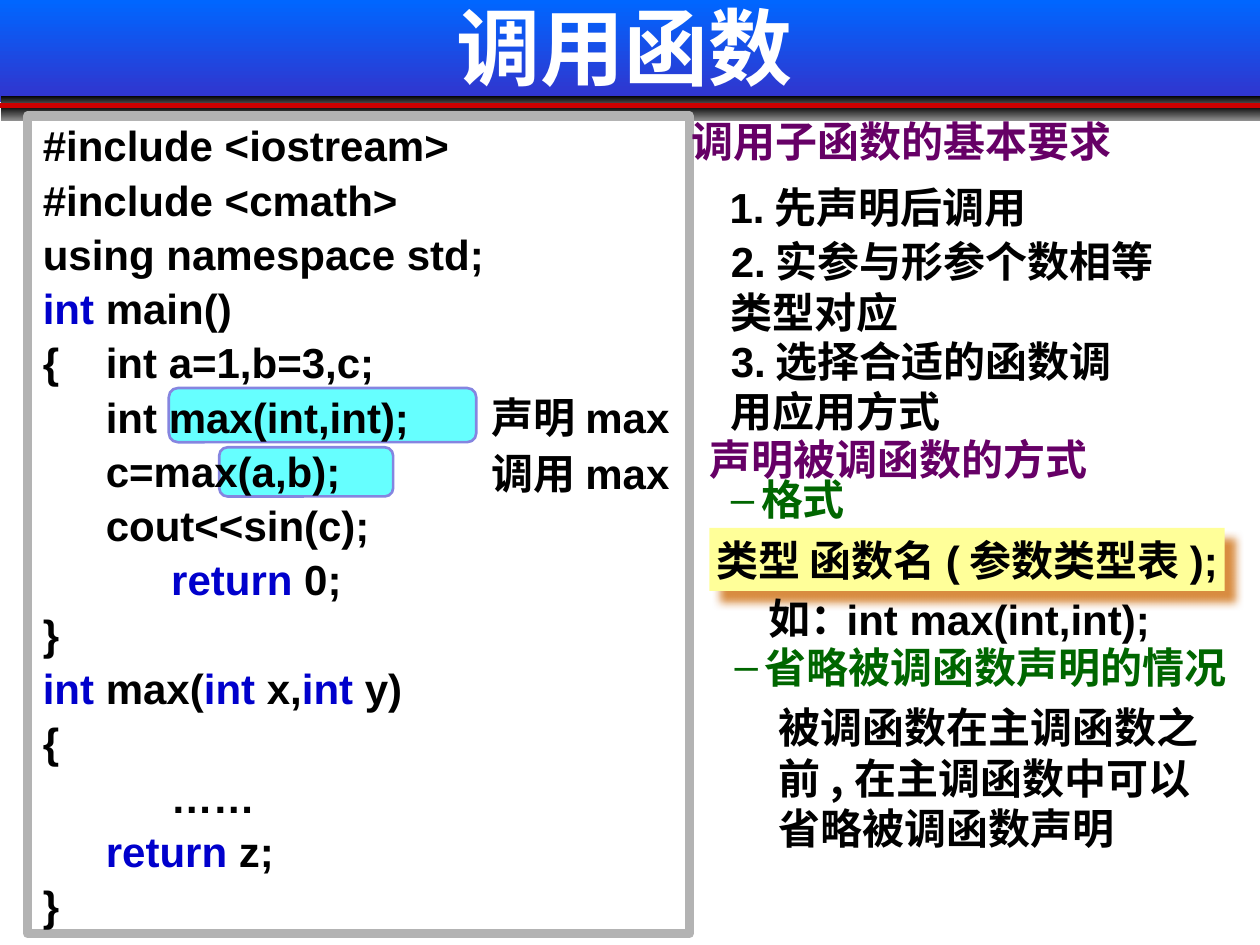
from dataclasses import dataclass
from typing import Any, Optional

from lxml.etree import SubElement
from pptx import Presentation
from pptx.dml.color import RGBColor as RGB
from pptx.enum.shapes import MSO_CONNECTOR as Connector, MSO_SHAPE as Preset
from pptx.enum.text import MSO_ANCHOR as Anchor, PP_ALIGN as Align
from pptx.oxml.ns import qn
from pptx.util import Inches, Pt

CELL = Inches(0.1)
COLUMNS, ROWS = 100, 75


@dataclass(frozen=True)
class Theme:
    latin: str = "Arial"
    han: str = "Noto Sans CJK SC"
    title_size: int = 48
    body_size: int = 24
    code_pitch: int = 31
    ink: str = "000000"
    white: str = "FFFFFF"
    keyword: str = "0000CC"
    heading: str = "660066"
    subheading: str = "006600"
    highlight: str = "66FFFF"
    highlight_edge: str = "8585E0"
    frame: str = "B3B3B3"
    rule: str = "CC0000"
    syntax: str = "FFFF99"
    syntax_shadow: str = "CC6600"
    banner_shadow: str = "808080"
    banner: tuple[str, str] = ("0066FF", "3333CC")
    bar: tuple[str, str] = ("000000", "929292")


THEME = Theme()


@dataclass(frozen=True)
class Area:
    col: float
    row: float
    cols: float
    rows: float

    def emu(self) -> list[int]:
        return [round(n * CELL) for n in (self.col, self.row, self.cols, self.rows)]


@dataclass(frozen=True)
class Style:
    font: str
    color: str
    size: int = THEME.body_size


@dataclass(frozen=True)
class Shadow:
    color: str
    distance: float


@dataclass(frozen=True)
class Note:
    area: Area
    text: str
    base: Style
    bulleted: bool = False


BLACK_LATIN = Style(THEME.latin, THEME.ink)
BLACK_HAN = Style(THEME.han, THEME.ink)
KEYWORD = Style(THEME.latin, THEME.keyword)
HEADING = Style(THEME.han, THEME.heading)
SUBHEADING = Style(THEME.han, THEME.subheading)
TITLE = Style(THEME.latin, THEME.white, THEME.title_size)

CODE = [
    "#include <iostream>",
    "#include <cmath>",
    "using namespace std;",
    "`int` main()",
    "{\tint a=1,b=3,c;",
    "\tint max(int,int);",
    "\tc=max(a,b);",
    "\tcout<<sin(c);",
    "           `return` 0;",
    "}",
    "`int` max(`int `x,`int` y)",
    "{",
    "           ……",
    "\t`return` z;",
    "}",
]

NOTES = [
    Note(Area(54.9, 9.2, 39.2, 4), "调用子函数的基本要求", HEADING),
    Note(Area(57.9, 14.4, 42, 4), "1.先声明后调用", BLACK_LATIN),
    Note(Area(39, 35.5, 17.3, 4), "调用`max", BLACK_HAN),
    Note(Area(39, 31.1, 17.3, 4), "声明`max", BLACK_HAN),
    Note(Area(58, 18.7, 35.3, 8.1), "2.实参与形参个数相等类型对应", BLACK_LATIN),
    Note(Area(58, 26.6, 33.4, 8.1), "3.选择合适的函数调用应用方式", BLACK_LATIN),
    Note(Area(56.3, 34.4, 36.8, 4), "声明被调函数的方式", HEADING),
    Note(Area(58, 37.6, 25, 4), "格式", SUBHEADING, bulleted=True),
    Note(Area(58.3, 50.9, 41.7, 4), "省略被调函数声明的情况", SUBHEADING, bulleted=True),
    Note(Area(61.8, 55.7, 35.3, 12.1),
         "被调函数在主调函数之前,在主调函数中可以省略被调函数声明", BLACK_HAN),
    Note(Area(61, 47, 6.9, 4), "如：", BLACK_HAN),
    Note(Area(67.2, 47.1, 27.6, 4), "int max(int,int);", BLACK_LATIN),
]


def assign(target: Any, values: dict[str, Any]) -> None:
    for key, value in values.items():
        setattr(target, key, value)


def add_bullet(paragraph: Any) -> None:
    props = paragraph._p.get_or_add_pPr()
    indent = round(2.4 * CELL)
    props.set("marL", str(indent))
    props.set("indent", str(-indent))
    SubElement(props, qn("a:buFont"), typeface=THEME.latin)
    SubElement(props, qn("a:buChar"), char="–")


def write(holder: Any, lines: list[str], base: Style, marked: Style,
          anchor: Any = Anchor.TOP, align: Any = Align.LEFT,
          pitch: Optional[int] = None, inset: float = 0, bulleted: bool = False) -> None:
    frame = holder.text_frame
    assign(frame, {"word_wrap": True, "vertical_anchor": anchor,
                   "margin_left": round(inset * CELL), "margin_right": 0,
                   "margin_top": 0, "margin_bottom": 0})
    for index, line in enumerate(lines):
        paragraph = frame.add_paragraph() if index else frame.paragraphs[0]
        assign(paragraph, {"alignment": align, "line_spacing": Pt(pitch) if pitch else None})
        if bulleted:
            add_bullet(paragraph)
        for position, piece in enumerate(line.split("`")):
            if not piece:
                continue
            style = marked if position % 2 else base
            run = paragraph.add_run()
            run.text = piece
            assign(run.font, {"size": Pt(style.size), "bold": True, "name": style.font})
            run.font.color.rgb = RGB.from_string(style.color)
            SubElement(run._r.get_or_add_rPr(), qn("a:ea"), typeface=THEME.han)


def cast_shadow(shape: Any, shadow: Shadow) -> None:
    effects = shape._element.spPr.find(qn("a:effectLst"))
    outer = SubElement(effects, qn("a:outerShdw"), blurRad=str(Pt(5)),
                       dist=str(Pt(shadow.distance)), dir="2700000",
                       algn="tl", rotWithShape="0")
    color = SubElement(outer, qn("a:srgbClr"), val=shadow.color)
    SubElement(color, qn("a:alpha"), val="75000")


def add_block(slide: Any, area: Area, fill: str | tuple[str, str] | None = None,
              edge: Optional[str] = None, edge_width: float = 1.5,
              preset: Any = Preset.RECTANGLE, shadow: Optional[Shadow] = None) -> Any:
    block = slide.shapes.add_shape(preset, *area.emu())
    block.shadow.inherit = False
    if fill is None:
        block.fill.background()
    elif isinstance(fill, str):
        block.fill.solid()
        block.fill.fore_color.rgb = RGB.from_string(fill)
    else:
        block.fill.gradient()
        block.fill.gradient_angle = 270
        for stop, color in zip(block.fill.gradient_stops, fill):
            stop.color.rgb = RGB.from_string(color)
    if edge:
        block.line.color.rgb = RGB.from_string(edge)
        block.line.width = Pt(edge_width)
    else:
        block.line.fill.background()
    if shadow:
        cast_shadow(block, shadow)
    return block


def add_rule(slide: Any, row: float) -> None:
    height = round(row * CELL)
    rule = slide.shapes.add_connector(Connector.STRAIGHT, 0, height, COLUMNS * CELL, height)
    rule.line.color.rgb = RGB.from_string(THEME.rule)
    rule.line.width = Pt(3)
    SubElement(rule._element.spPr, qn("a:effectLst"))


def main() -> None:
    deck = Presentation()
    assign(deck, {"slide_width": COLUMNS * CELL, "slide_height": ROWS * CELL})
    slide = deck.slides.add_slide(deck.slide_layouts[6])

    for area in (Area(17.4, 35.5, 13.8, 3.9), Area(13.4, 30.8, 24.4, 4.3)):
        add_block(slide, area, THEME.highlight, THEME.highlight_edge,
                  preset=Preset.ROUNDED_RECTANGLE)

    add_block(slide, Area(0, 0, COLUMNS, 8.1), THEME.banner,
              shadow=Shadow(THEME.banner_shadow, 3))
    for row in (7.6, 8.4):
        add_block(slide, Area(0.1, row, COLUMNS - 0.1, 1.2), THEME.bar)
    add_rule(slide, 8.4)
    title = slide.shapes.add_textbox(*Area(4.2, -1.1, 90.8, 9.5).emu())
    write(title, ["调用函数"], TITLE, TITLE, Anchor.MIDDLE, Align.CENTER)

    listing = add_block(slide, Area(2.2, 9.2, 52.5, 64.9), edge=THEME.frame, edge_width=5.25)
    write(listing, CODE, BLACK_LATIN, KEYWORD, pitch=THEME.code_pitch, inset=1.2)

    syntax = add_block(slide, Area(56.3, 41.9, 40.9, 5), THEME.syntax,
                       shadow=Shadow(THEME.syntax_shadow, 8.5))
    write(syntax, ["类型 函数名`(`参数类型表`);"], BLACK_HAN, BLACK_LATIN,
          Anchor.MIDDLE, Align.CENTER)

    for note in NOTES:
        box = slide.shapes.add_textbox(*note.area.emu())
        write(box, [note.text], note.base, BLACK_LATIN, bulleted=note.bulleted)

    deck.save("out.pptx")


if __name__ == "__main__":
    main()
